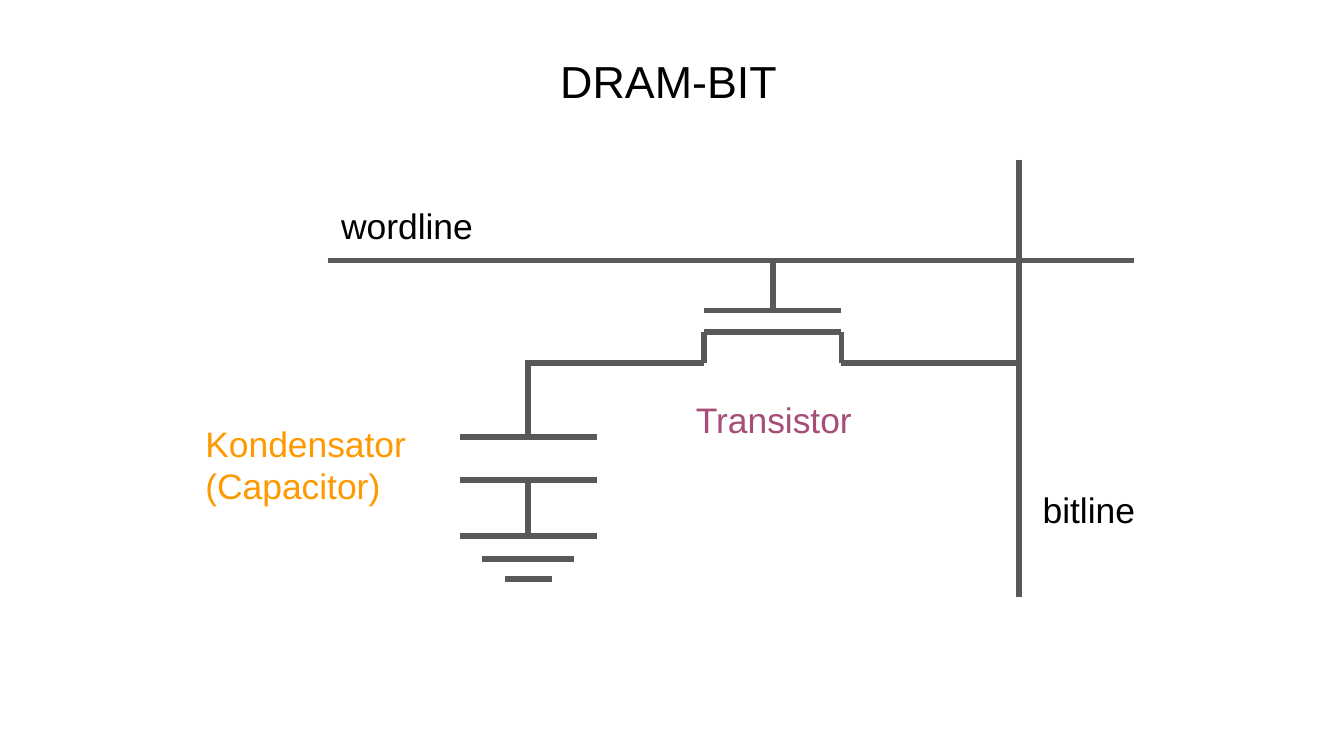
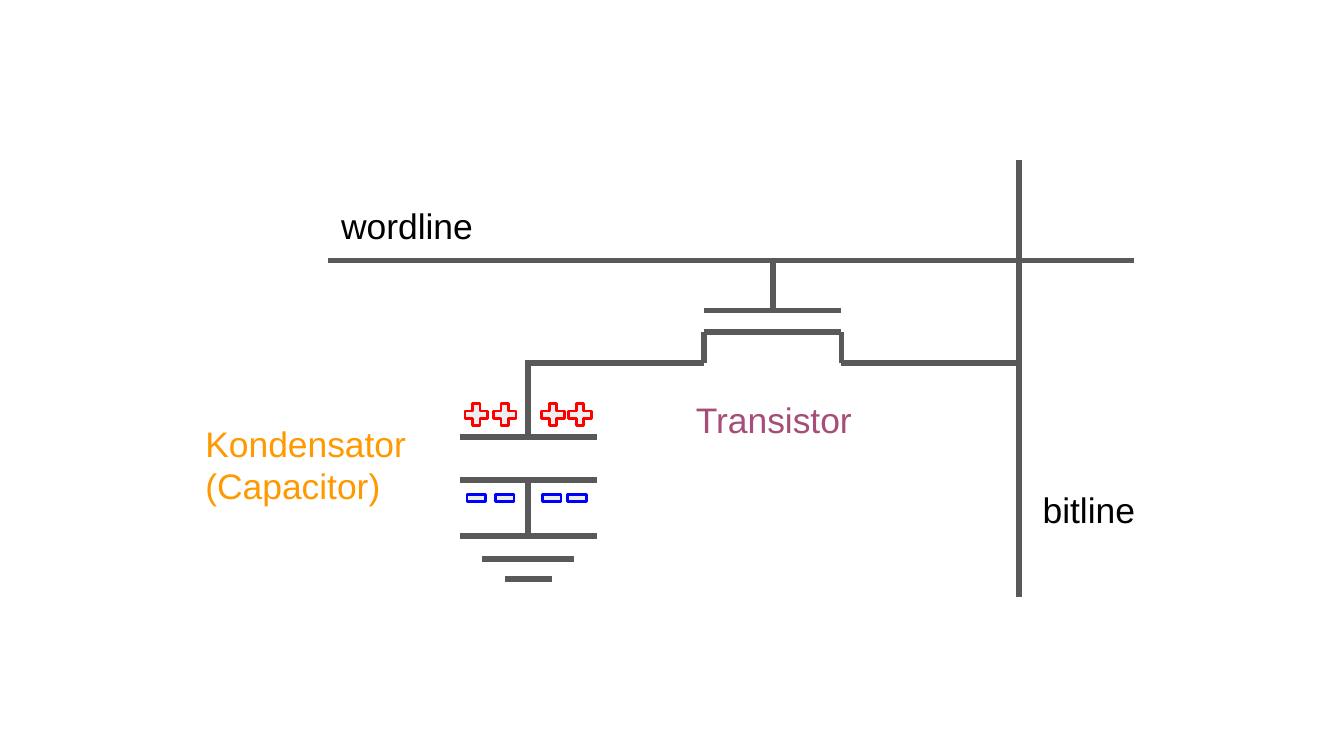
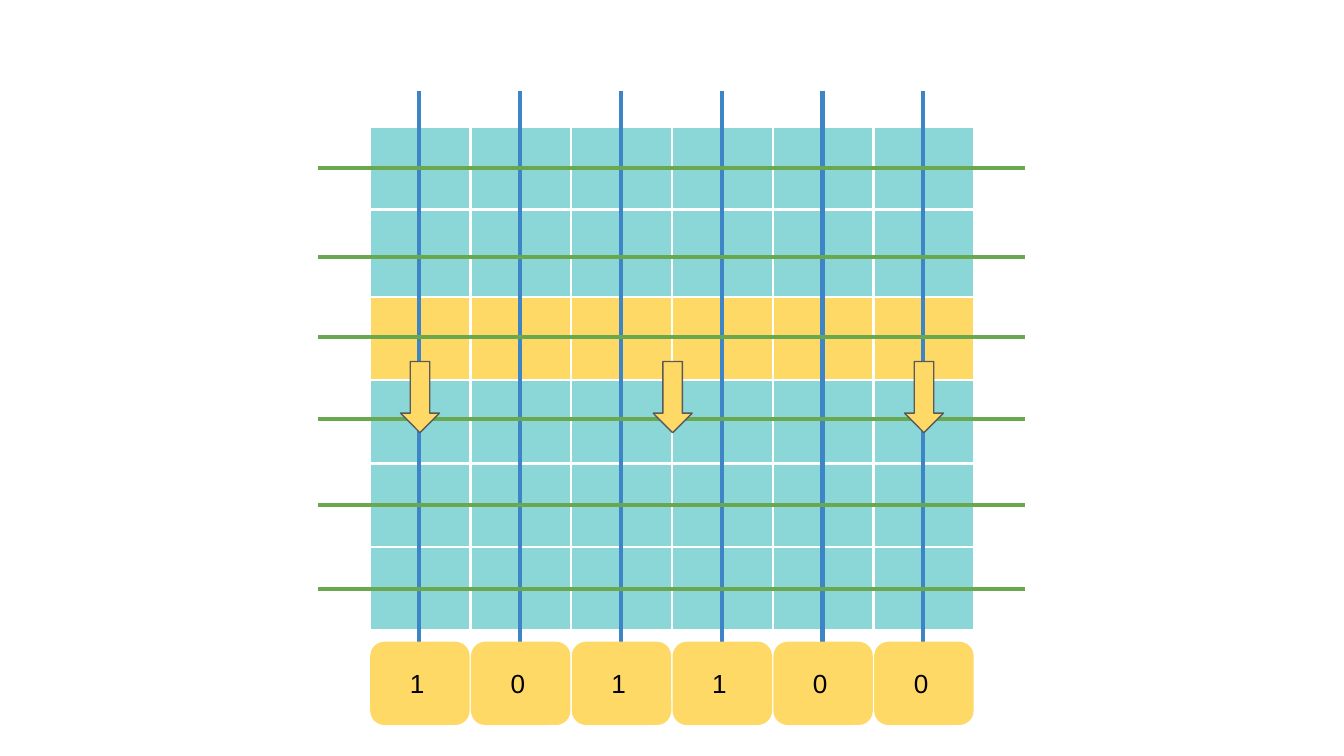
"""Build three slides on a DRAM bit cell and a DRAM cell array."""
from dataclasses import dataclass

from lxml import etree
from pptx import Presentation
from pptx import util as u
from pptx.dml.color import RGBColor
from pptx.enum import shapes, text
from pptx.oxml import ns

PX = 9144
SLIDE_WIDTH = 1000
FONT = "Arial"
BLACK, GREY, PALE, WHITE = "000000", "595959", "EEEEEE", "FFFFFF"
PURPLE, ORANGE, RED, BLUE = "A64D79", "FF9900", "FF0000", "0000FF"
TEAL, YELLOW, BITLINE, WORDLINE = "53C3C3", "FFD966", "3D85C6", "6AA84F"
SHAPE = shapes.MSO_SHAPE


@dataclass(frozen=True)
class Wire:
    """A straight line between two points in px."""
    x1: int
    y1: int
    x2: int
    y2: int
    color: str = GREY
    width: float = 3


@dataclass(frozen=True)
class Label:
    """A text box in px."""
    text: str
    x: int
    y: int
    w: int
    h: int
    color: str = BLACK
    size: int = 19


@dataclass(frozen=True)
class Mark:
    """A filled preset shape in px."""
    kind: SHAPE
    x: int
    y: int
    w: int
    h: int
    fill: str
    line: str
    width: float = 0.75


GATE_LEFT, GATE_MID, GATE_RIGHT = 524, 575, 626
CAP_LEFT, CAP_MID, CAP_RIGHT = 342, 393, 444
CIRCUIT = [
    Wire(244, 194, 844, 194),
    Wire(758, 119, 758, 444),
    *(Wire(CAP_LEFT, y, CAP_RIGHT, y) for y in (325, 357, 399)),
    *(Wire(GATE_LEFT, y, GATE_RIGHT, y) for y in (231, 247)),
    Wire(GATE_MID, 231, GATE_MID, 195),
    *(Wire(x, 247, x, 270) for x in (GATE_LEFT, GATE_RIGHT)),
    Wire(GATE_RIGHT, 270, 759, 270),
    Wire(391, 270, GATE_LEFT, 270),
    Wire(CAP_MID, 270, CAP_MID, 325),
    Wire(CAP_MID, 357, CAP_MID, 401),
    Wire(359, 416, 427, 416),
    Wire(376, 431, 411, 431),
]
CIRCUIT_LABELS = [
    Label("wordline", 244, 142, 123, 52),
    Label("bitline", 766, 353, 90, 52),
    Label("Transistor", 508, 286, 187, 52, PURPLE),
    Label("Kondensator\n(Capacitor)", 143, 304, 187, 84, ORANGE),
]
TITLE = Label("DRAM-BIT", 407, 30, 187, 61, size=24)
CHARGES = [
    *(Mark(SHAPE.MATH_PLUS, x, 297, 23, 23, PALE, RED, 1.5) for x in (343, 364, 400, 420)),
    *(Mark(SHAPE.MATH_MINUS, x, 360, 19, 21, PALE, BLUE, 1.5) for x in (345, 366, 401, 420)),
]

PITCH = 75
ROW_HEIGHTS = (62, 65, 62, 62, 62, 62)
ACTIVE_ROW = 2
BITS = "101100"
ARRAY_WIRES = [
    *(Wire(312 + i * PITCH, 68, 312 + i * PITCH, 495, BITLINE, 2.25) for i in range(len(BITS))),
    *(Wire(237, y, 763, y, WORDLINE, 2.25) for y in (125, 191, 251, 312, 376, 438)),
]
ARROWS = [Mark(SHAPE.DOWN_ARROW, x, 269, 29, 53, YELLOW, GREY) for x in (298, 486, 673)]


def rgb(value: str) -> RGBColor:
    """Turn a hex string into a colour."""
    return RGBColor.from_string(value)


def emu(*lengths: int) -> list[u.Emu]:
    """Turn px lengths into EMU."""
    return [u.Emu(n * PX) for n in lengths]


def style_text(tf, color: str, size: int) -> None:
    """Give every run the shared font, left aligned."""
    for p in tf.paragraphs:
        p.alignment = text.PP_ALIGN.LEFT
        for r in p.runs:
            r.font.name = FONT
            r.font.size = u.Pt(size)
            r.font.color.rgb = rgb(color)


def set_margins(tf, left: int = 10) -> None:
    """Set the insets of a text frame in px."""
    tf.margin_left, tf.margin_right, tf.margin_top, tf.margin_bottom = emu(left, 10, 10, 10)


def add_wire(s, wire: Wire) -> None:
    """Draw a line."""
    sp = s.shapes.add_connector(shapes.MSO_CONNECTOR.STRAIGHT,
                                *emu(wire.x1, wire.y1, wire.x2, wire.y2))
    sp.line.color.rgb = rgb(wire.color)
    sp.line.width = u.Pt(wire.width)
    etree.SubElement(sp._element.spPr, ns.qn("a:effectLst"))


def add_label(s, label: Label) -> None:
    """Draw a text box."""
    tf = s.shapes.add_textbox(*emu(label.x, label.y, label.w, label.h)).text_frame
    tf.word_wrap = True
    tf.auto_size = text.MSO_AUTO_SIZE.SHAPE_TO_FIT_TEXT
    set_margins(tf)
    tf.text = label.text
    style_text(tf, label.color, label.size)


def add_mark(s, mark: Mark):
    """Draw a preset shape and return it."""
    sp = s.shapes.add_shape(mark.kind, *emu(mark.x, mark.y, mark.w, mark.h))
    sp.shadow.inherit = False
    sp.fill.solid()
    sp.fill.fore_color.rgb = rgb(mark.fill)
    sp.line.color.rgb = rgb(mark.line)
    sp.line.width = u.Pt(mark.width)
    return sp


def add_bit(s, index: int, bit: str) -> None:
    """Draw one output box of the active row."""
    sp = add_mark(s, Mark(SHAPE.ROUNDED_RECTANGLE, 276 + index * PITCH, 478, 73, 61,
                          YELLOW, YELLOW))
    tf = sp.text_frame
    tf.vertical_anchor = text.MSO_ANCHOR.MIDDLE
    set_margins(tf, left=26)
    tf.text = bit
    style_text(tf, BLACK, 14)


def style_cell(cell, color: str, alpha: int) -> None:
    """Give a cell white borders and a fill with an opacity in percent."""
    tc_pr = cell._tc.get_or_add_tcPr()
    for side in ("lnL", "lnR", "lnT", "lnB"):
        ln = etree.SubElement(tc_pr, ns.qn(f"a:{side}"), w=str(u.Pt(1.5)))
        fill = etree.SubElement(ln, ns.qn("a:solidFill"))
        etree.SubElement(fill, ns.qn("a:srgbClr"), val=WHITE)
    cell.fill.solid()
    cell.fill.fore_color.rgb = rgb(color)
    if alpha < 100:
        clr = tc_pr.find(ns.qn("a:solidFill")).find(ns.qn("a:srgbClr"))
        etree.SubElement(clr, ns.qn("a:alpha"), val=str(alpha * 1000))


def add_cell_array(s) -> None:
    """Draw the memory cells with the active row highlighted."""
    cols = len(BITS)
    table = s.shapes.add_table(len(ROW_HEIGHTS), cols,
                               *emu(275, 94, cols * PITCH, sum(ROW_HEIGHTS))).table
    table.first_row = table.horz_banding = False
    for col in table.columns:
        col.width = u.Emu(PITCH * PX)
    for i, (row, height) in enumerate(zip(table.rows, ROW_HEIGHTS)):
        row.height = u.Emu(height * PX)
        for cell in row.cells:
            style_cell(cell, *((YELLOW, 100) if i == ACTIVE_ROW else (TEAL, 67)))


def add_circuit(s) -> None:
    """Draw the labelled one-transistor cell."""
    for wire in CIRCUIT:
        add_wire(s, wire)
    for label in CIRCUIT_LABELS:
        add_label(s, label)


def build_cell(s) -> None:
    """Build the titled cell slide."""
    add_circuit(s)
    add_label(s, TITLE)


def build_charged_cell(s) -> None:
    """Build the cell slide with charges on the capacitor."""
    add_circuit(s)
    for mark in CHARGES:
        add_mark(s, mark)


def build_array(s) -> None:
    """Build the slide that reads one row of the array."""
    add_cell_array(s)
    for wire in ARRAY_WIRES:
        add_wire(s, wire)
    for mark in ARROWS:
        add_mark(s, mark)
    for i, bit in enumerate(BITS):
        add_bit(s, i, bit)


def main() -> None:
    """Build and save the presentation."""
    prs = Presentation()
    prs.slide_width = u.Emu(SLIDE_WIDTH * PX)
    prs.slide_height = u.Emu(SLIDE_WIDTH * PX * 9 // 16)
    for build in (build_cell, build_charged_cell, build_array):
        build(prs.slides.add_slide(prs.slide_layouts[6]))
    prs.save("out.pptx")


if __name__ == "__main__":
    main()
